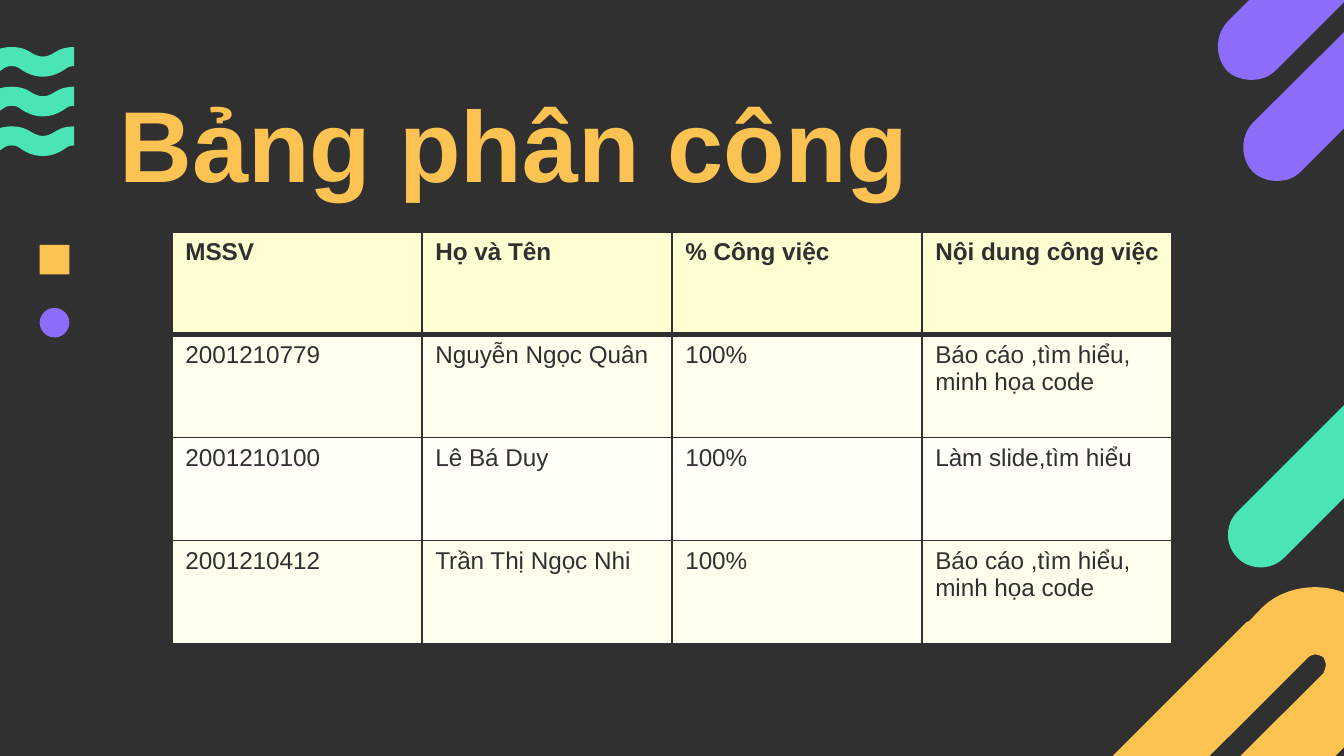
from lxml.etree import SubElement
from pptx import Presentation
from pptx.dml.color import RGBColor
from pptx.enum.shapes import MSO_SHAPE
from pptx.enum.text import MSO_ANCHOR, MSO_AUTO_SIZE, PP_ALIGN
from pptx.oxml.ns import qn
from pptx.util import Cm, Pt

DARK, YELLOW, GREEN, PURPLE = "303030", "FCC353", "49E5B5", "8D6CFA"
TITLE = "Bảng phân công"
ROWS = [
    ("MSSV", "Họ và Tên", "% Công việc", "Nội dung công việc"),
    ("2001210779", "Nguyễn Ngọc Quân", "100%", "Báo cáo ,tìm hiểu, minh họa code"),
    ("2001210100", "Lê Bá Duy", "100%", "Làm slide,tìm hiểu"),
    ("2001210412", "Trần Thị Ngọc Nhi", "100%", "Báo cáo ,tìm hiểu, minh họa code"),
]
ROW_FILLS = ["FFFED2", "FFFFEE", "FFFFF7", "FFFFEE"]
TITLE_FORMAT = {"name": "Arial", "size": Pt(54), "bold": True}
CELL_FORMAT = {"name": "Arial", "size": Pt(13), "bold": False}
HEADER_FORMAT = {**CELL_FORMAT, "bold": True}
TITLE_BOX = {"left": 2.01, "top": 1.24, "width": 21.41, "height": 2.9}
TABLE_BOX = (3.25, 4.38, 18.9, 7.78)

HOOKS = [(18.76, 11.1, YELLOW), (22.96, -4.81, PURPLE)]
HOOK_PATH = [
    [(1.17, 8.23)],
    [(1.35, 8.23), (1.5, 8.18), (1.63, 8.05)],
    [(7.16, 2.51)],
    [(7.42, 2.24), (7.59, 1.88), (7.57, 1.47)],
    [(7.57, 1.09), (7.42, 0.71), (7.14, 0.43)],
    [(6.86, 0.15), (6.48, 0), (6.1, 0)],
    [(5.72, 0), (5.33, 0.13), (5.05, 0.43)],
    [(4.85, 0.64)],
    [(4.83, 0.64), (4.83, 0.66), (4.8, 0.66)],
    [(0.23, 5.23)],
    [(0, 5.49), (0, 5.89), (0.23, 6.15)],
    [(0.36, 6.27), (0.53, 6.32), (0.69, 6.32)],
    [(0.86, 6.32), (1.02, 6.27), (1.14, 6.15)],
    [(5.97, 1.32)],
    [(5.99, 1.3), (6.05, 1.27), (6.1, 1.27)],
    [(6.15, 1.27), (6.2, 1.3), (6.25, 1.32)],
    [(6.27, 1.37), (6.3, 1.42), (6.3, 1.47)],
    [(6.3, 1.52), (6.27, 1.57), (6.25, 1.63)],
    [(0.71, 7.14)],
    [(0.48, 7.39), (0.48, 7.8), (0.71, 8.05)],
    [(0.84, 8.18), (1.02, 8.23), (1.17, 8.23)],
]
WAVE = {"left": -2.14, "top": 0.89, "pitch": 0.75, "count": 3,
        "period": 1.18, "periods": 3, "thickness": 0.36}
UPPER_EDGE = [
    [(0.23, 0), (0.33, 0.08), (0.41, 0.13)],
    [(0.46, 0.15), (0.51, 0.18), (0.59, 0.18)],
    [(0.67, 0.18), (0.72, 0.15), (0.77, 0.13)],
    [(0.85, 0.08), (0.95, 0), (1.18, 0)],
]
LOWER_EDGE = [
    [(0.1, 0), (0.13, 0.03), (0.2, 0.08)],
    [(0.28, 0.13), (0.41, 0.2), (0.59, 0.2)],
    [(0.77, 0.2), (0.9, 0.13), (0.98, 0.08)],
    [(1.05, 0.03), (1.08, 0), (1.18, 0)],
]
PRESETS = [
    (MSO_SHAPE.ROUND_2_SAME_RECTANGLE, (24.18, 7.14, 1.24, 3.99), 45, GREEN),
    (MSO_SHAPE.RECTANGLE, (0.75, 4.63, 0.56, 0.56), 90, YELLOW),
    (MSO_SHAPE.OVAL, (0.75, 5.82, 0.56, 0.56), 90, PURPLE),
]


def color(value):
    return RGBColor.from_string(value)


def paint(shape, value):
    shape.shadow.inherit = False
    shape.fill.solid()
    shape.fill.fore_color.rgb = color(value)
    shape.line.fill.background()


def format_text(paragraph, values, value):
    paragraph.alignment = PP_ALIGN.LEFT
    font = paragraph.runs[0].font
    for name, setting in values.items():
        setattr(font, name, setting)
    font.color.rgb = color(value)


def wave_path():
    period, thickness = WAVE["period"], WAVE["thickness"]
    width = period * WAVE["periods"]
    starts = [period * index for index in range(WAVE["periods"])]
    lower = [[(start + x, thickness + y) for x, y in curve]
             for start in starts for curve in LOWER_EDGE]
    upper = [[(width - start - x, y) for x, y in curve]
             for start in starts for curve in UPPER_EDGE]
    return [[(0, 0)], [(0, thickness)], *lower, [(width, 0)], *upper]


def add_outline(slide, segments, left, top, value):
    points = [(Cm(left + x), Cm(top + y)) for segment in segments for x, y in segment]
    builder = slide.shapes.build_freeform(*points[0])
    builder.add_line_segments(points[1:])
    shape = builder.convert_to_shape()
    lines = iter(list(shape._element.iter(qn("a:lnTo"))))
    for segment in segments[1:]:
        first = next(lines)
        if len(segment) == 3:
            first.tag = qn("a:cubicBezTo")
            for line in (next(lines), next(lines)):
                first.append(line[0])
                line.getparent().remove(line)
    paint(shape, value)


def set_borders(cell, widths):
    properties = cell._tc.get_or_add_tcPr()
    for index, (side, width) in enumerate(widths.items()):
        line = SubElement(properties, qn(f"a:{side}"), w=str(Pt(width)))
        fill = SubElement(line, qn("a:solidFill"))
        SubElement(fill, qn("a:srgbClr"), val=DARK)
        properties.insert(index, line)


def add_decorations(slide):
    for left, top, value in HOOKS:
        add_outline(slide, HOOK_PATH, left, top, value)
    wave = wave_path()
    for index in range(WAVE["count"]):
        add_outline(slide, wave, WAVE["left"], WAVE["top"] + index * WAVE["pitch"], GREEN)
    for kind, box, rotation, value in PRESETS:
        shape = slide.shapes.add_shape(kind, *map(Cm, box))
        shape.rotation = rotation
        if kind == MSO_SHAPE.ROUND_2_SAME_RECTANGLE:
            shape.adjustments[0] = 0
            shape.adjustments[1] = 0.5
        paint(shape, value)


def add_title(slide):
    title = slide.shapes.title
    for name, length in TITLE_BOX.items():
        setattr(title, name, Cm(length))
    frame = title.text_frame
    frame.text = TITLE
    settings = {"auto_size": MSO_AUTO_SIZE.NONE, "word_wrap": True,
                "vertical_anchor": MSO_ANCHOR.MIDDLE}
    settings.update({f"margin_{side}": Cm(0.25) for side in ("left", "top", "right", "bottom")})
    for name, setting in settings.items():
        setattr(frame, name, setting)
    format_text(frame.paragraphs[0], TITLE_FORMAT, YELLOW)


def add_assignments(slide):
    table = slide.shapes.add_table(len(ROWS), len(ROWS[0]), *map(Cm, TABLE_BOX)).table
    table.horz_banding = False
    for row, (texts, fill) in enumerate(zip(ROWS, ROW_FILLS)):
        for column, text in enumerate(texts):
            cell = table.cell(row, column)
            cell.text = text
            cell.fill.solid()
            cell.fill.fore_color.rgb = color(fill)
            format_text(cell.text_frame.paragraphs[0],
                        CELL_FORMAT if row else HEADER_FORMAT, DARK)
            set_borders(cell, {"lnL": 1, "lnR": 1, "lnT": 3 if row == 1 else 1,
                               "lnB": 3 if row == 0 else 1})


def main():
    presentation = Presentation()
    presentation.slide_width, presentation.slide_height = Cm(25.4), Cm(14.29)
    slide = presentation.slides.add_slide(presentation.slide_layouts[5])
    slide.background.fill.solid()
    slide.background.fill.fore_color.rgb = color(DARK)
    add_decorations(slide)
    add_title(slide)
    add_assignments(slide)
    presentation.save("out.pptx")


if __name__ == "__main__":
    main()
